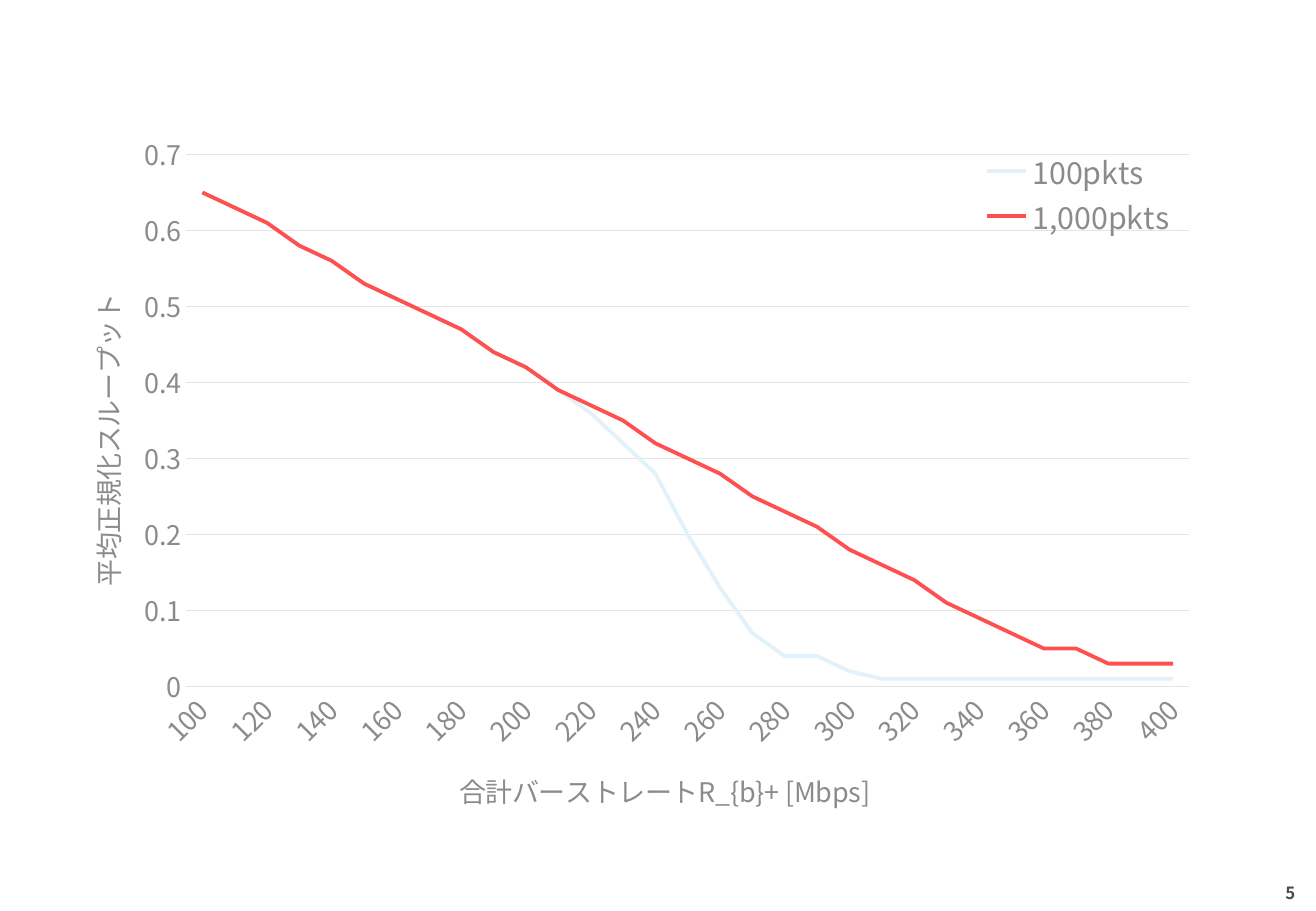
from dataclasses import dataclass
from typing import Any, Optional

import lxml.etree
import pptx
import pptx.chart.data
import pptx.dml.color
import pptx.enum.chart
import pptx.enum.text
import pptx.oxml.ns
import pptx.util

Inches = pptx.util.Inches
Pt = pptx.util.Pt
qn = pptx.oxml.ns.qn


@dataclass(frozen=True)
class Theme:
    font: str = "Noto Sans CJK JP"
    page_ink: str = "4D4D4D"
    chart_ink: str = "8B8B8B"
    grid: str = "E4E4E4"
    small_burst: str = "E2F1FA"
    large_burst: str = "FF5050"
    page_size: float = 10
    axis_size: float = 16
    legend_size: float = 18
    grid_width: float = 0.75
    series_width: float = 2.25


@dataclass(frozen=True)
class Throughput:
    name: str
    color: str
    values: tuple[float, ...]


@dataclass(frozen=True)
class Placement:
    """Fractions of the chart area."""
    x: float
    y: float
    w: Optional[float] = None
    h: Optional[float] = None


THEME = Theme()
RATES = range(100, 401, 10)
SHARED = (0.65, 0.63, 0.61, 0.58, 0.56, 0.53, 0.51, 0.49, 0.47, 0.44, 0.42, 0.39)
THROUGHPUTS = (
    Throughput("100pkts", THEME.small_burst, SHARED + (
        0.36, 0.32, 0.28, 0.2, 0.13, 0.07, 0.04, 0.04, 0.02) + (0.01,) * 10),
    Throughput("1,000pkts", THEME.large_burst, SHARED + (
        0.37, 0.35, 0.32, 0.3, 0.28, 0.25, 0.23, 0.21, 0.18, 0.16,
        0.14, 0.11, 0.09, 0.07, 0.05, 0.05, 0.03, 0.03, 0.03)),
)


def rgb(color: str) -> pptx.dml.color.RGBColor:
    return pptx.dml.color.RGBColor.from_string(color)


def style_font(font: Any, size: float, color: str, bold: bool = False) -> None:
    font.name, font.size, font.bold = THEME.font, Pt(size), bold
    font.color.rgb = rgb(color)
    latin = font._element.find(qn("a:latin"))
    east_asian = lxml.etree.Element(qn("a:ea"), typeface=THEME.font)
    latin.addnext(east_asian)


def style_line(line: Any, color: str, width: float) -> None:
    line.color.rgb = rgb(color)
    line.width = Pt(width)


def place(element: Any, placement: Placement, after: Optional[str] = None) -> None:
    """Give a chart part a manual layout, following the child named in after."""
    for old in element.findall(qn("c:layout")):
        element.remove(old)
    layout = lxml.etree.Element(qn("c:layout"))
    manual = lxml.etree.SubElement(layout, qn("c:manualLayout"))
    settings = {"xMode": "edge", "yMode": "edge", "x": placement.x,
                "y": placement.y, "w": placement.w, "h": placement.h}
    if after is None:
        lxml.etree.SubElement(manual, qn("c:layoutTarget"), val="inner")
        element.insert(0, layout)
    else:
        element.find(qn(after)).addnext(layout)
    for tag, value in settings.items():
        if value is not None:
            lxml.etree.SubElement(manual, qn(f"c:{tag}"), val=str(value))


def style_axis(axis: Any, title: str, placement: Placement, title_angle: int) -> None:
    axis.major_tick_mark = axis.minor_tick_mark = pptx.enum.chart.XL_TICK_MARK.NONE
    style_font(axis.tick_labels.font, THEME.axis_size, THEME.chart_ink)
    text_frame = axis.axis_title.text_frame
    text_frame.text = title
    style_font(text_frame.paragraphs[0].runs[0].font, THEME.axis_size, THEME.chart_ink)
    body = text_frame._txBody.find(qn("a:bodyPr"))
    body.set("rot", str(title_angle * 60000))
    body.set("vert", "horz")
    place(axis.axis_title._element, placement, "c:tx")


def add_throughput_chart(slide: Any) -> None:
    data = pptx.chart.data.CategoryChartData()
    data.categories = [str(rate) for rate in RATES]
    for throughput in THROUGHPUTS:
        data.add_series(throughput.name, throughput.values)
    chart = slide.shapes.add_chart(
        pptx.enum.chart.XL_CHART_TYPE.LINE,
        Inches(0.38), Inches(0.98), Inches(9.6), Inches(5.84), data).chart
    chart.has_title = False
    style_font(chart.font, THEME.page_size, THEME.page_ink)
    place(chart._chartSpace.chart.plotArea, Placement(0.12, 0.05, 0.86, 0.75))

    # Series lines
    chart.plots[0].vary_by_categories = False
    for series, throughput in zip(chart.plots[0].series, THROUGHPUTS):
        series.smooth = False
        series.marker.style = pptx.enum.chart.XL_MARKER_STYLE.NONE
        style_line(series.format.line, throughput.color, THEME.series_width)

    # Burst rate axis: every second label, slanted
    rate_axis = chart.category_axis
    style_axis(rate_axis, "合計バーストレートR_{b}+ [Mbps]", Placement(0.35, 0.91), 0)
    style_line(rate_axis.format.line, THEME.grid, THEME.grid_width)
    rate_axis._element.find(qn("c:txPr")).find(qn("a:bodyPr")).set("rot", str(-45 * 60000))
    label_skip = lxml.etree.Element(qn("c:tickLblSkip"), val="2")
    rate_axis._element.find(qn("c:noMultiLvlLbl")).addprevious(label_skip)

    # Throughput axis
    value_axis = chart.value_axis
    style_axis(value_axis, "平均正規化スループット", Placement(0.03, 0.24), -90)
    value_axis.minimum_scale, value_axis.maximum_scale = 0, 0.7
    value_axis.major_unit = 0.1
    value_axis.tick_labels.number_format = "General"
    value_axis.tick_labels.number_format_is_linked = False
    value_axis.format.line.fill.background()
    style_line(value_axis.major_gridlines.format.line, THEME.grid, THEME.grid_width)

    # Legend over the top right of the plot
    chart.has_legend = True
    chart.legend.position = pptx.enum.chart.XL_LEGEND_POSITION.CORNER
    chart.legend.include_in_layout = True
    style_font(chart.legend.font, THEME.legend_size, THEME.chart_ink)
    place(chart.legend._element, Placement(0.8, 0.04, 0.17, 0.13), "c:legendPos")


def add_page_number(slide: Any, number: str) -> None:
    shape = slide.shapes.add_textbox(Inches(8.13), Inches(7.21), Inches(2.53), Inches(0.28))
    text_frame = shape.text_frame
    text_frame.word_wrap = True
    text_frame.margin_left = text_frame.margin_right = 0
    text_frame.margin_top = text_frame.margin_bottom = 0
    text_frame.vertical_anchor = pptx.enum.text.MSO_ANCHOR.MIDDLE
    text_frame.text = number
    paragraph = text_frame.paragraphs[0]
    paragraph.alignment = pptx.enum.text.PP_ALIGN.RIGHT
    style_font(paragraph.runs[0].font, THEME.page_size, THEME.page_ink, bold=True)


def main() -> None:
    presentation = pptx.Presentation()
    presentation.slide_width = Inches(10.83)
    presentation.slide_height = Inches(7.5)
    slide = presentation.slides.add_slide(presentation.slide_layouts[6])
    add_page_number(slide, "5")
    add_throughput_chart(slide)
    presentation.save("out.pptx")


main()
